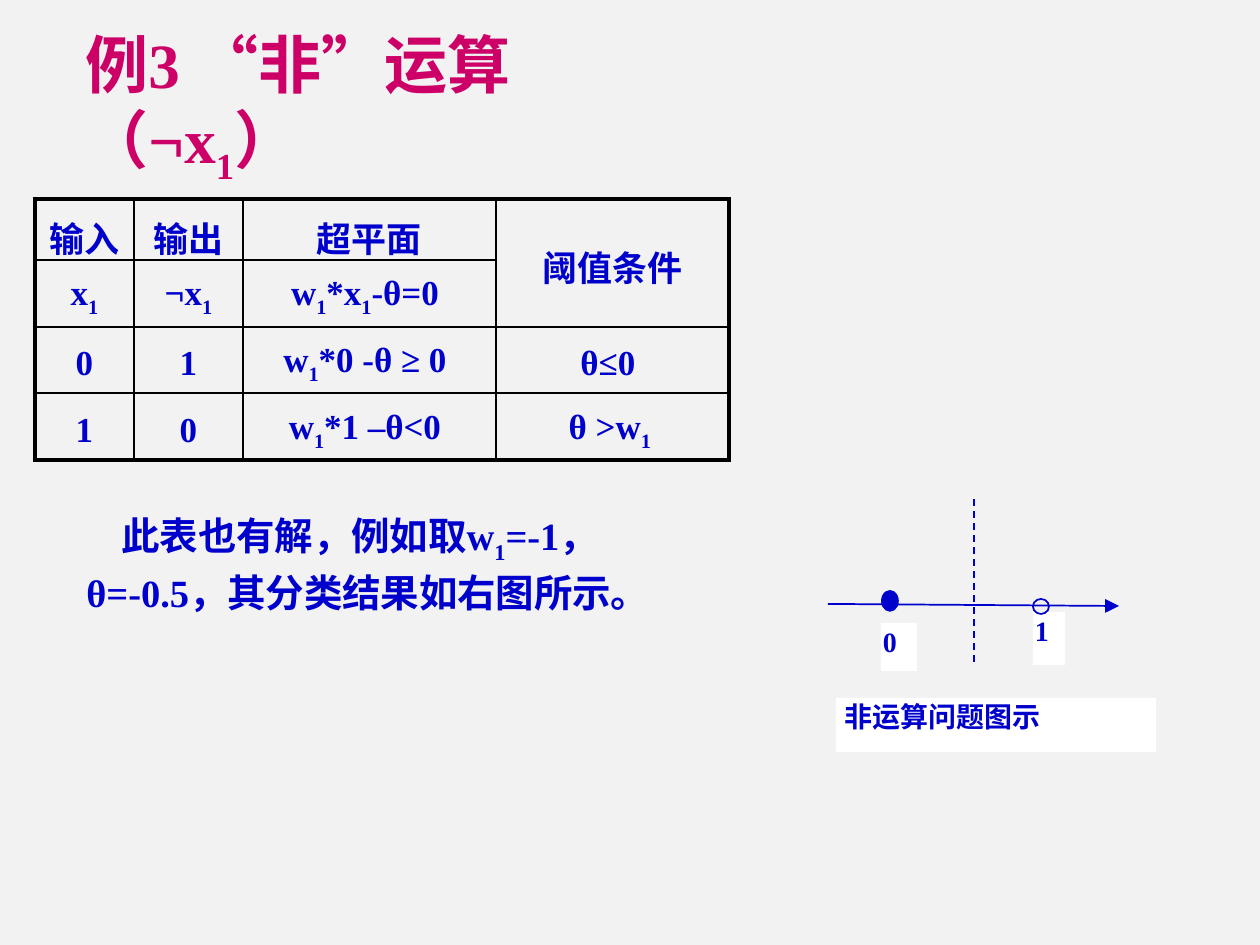
from dataclasses import dataclass

from lxml.etree import SubElement
from pptx import Presentation
from pptx.dml.color import RGBColor as Rgb
from pptx.enum.dml import MSO_LINE as Dash
from pptx.enum.lang import MSO_LANGUAGE_ID as Lang
from pptx.enum.shapes import MSO_CONNECTOR as Connector, MSO_SHAPE as Preset
from pptx.enum.text import MSO_ANCHOR as Anchor, PP_ALIGN as Align
from pptx.oxml.ns import qn
from pptx.util import Emu, Pt


@dataclass(frozen=True)
class Theme:
    """Colours, font and sizes in points."""
    paper: str = "F2F2F2"
    title: str = "CC0066"
    ink: str = "0000CC"
    grid: str = "000000"
    label_fill: str = "FFFFFF"
    font: str = "Times New Roman"
    title_size: float = 27
    body_size: float = 16.5
    table_size: float = 15
    label_size: float = 12
    thin: float = 0.75
    inner: float = 1
    outer: float = 2.25


THEME = Theme()
COLUMNS = (99, 109, 253, 233)
ROWS = (55, 61, 60, 60)
CELLS = (
    (("输入",), ("输出",), ("超平面",), ("阈值条件",)),
    (("x", "1"), ("¬x", "1"), ("w", "1", "*x", "1", "-θ=0 "), ()),
    (("0",), ("1",), ("w", "1", "*0 -θ ≥ 0 "), ("θ≤0 ",)),
    (("1",), ("0",), ("w", "1", "*1 –θ<0 "), ("θ >w", "1 ")),
)


def px(*lengths):
    """Turn pixels at 168 per inch into EMU."""
    return [Emu(round(length * 914400 / 168)) for length in lengths]


def write(paragraph, pieces, size, color):
    """Add runs in which every second piece is a subscript."""
    for index, piece in enumerate(pieces):
        run = paragraph.add_run()
        run.text = piece
        font = run.font
        font.name, font.size, font.bold = THEME.font, Pt(size), True
        font.color.rgb = Rgb.from_string(color)
        font.language_id = Lang.SIMPLIFIED_CHINESE
        if index % 2:
            run._r.get_or_add_rPr().set("baseline", "-25000")


def add_text(slide, box, pieces, size, color, spacing=1.0, indent=0):
    """Add a wrapped text box with one paragraph."""
    frame = slide.shapes.add_textbox(*px(*box)).text_frame
    frame.word_wrap = True
    paragraph = frame.paragraphs[0]
    paragraph.line_spacing = spacing
    paragraph._p.get_or_add_pPr().set("indent", str(px(indent)[0]))
    write(paragraph, pieces, size, color)


def add_border(cell, side, width):
    """Draw one side of a table cell."""
    line = SubElement(cell._tc.get_or_add_tcPr(), qn(f"a:ln{side}"), w=str(Pt(width)))
    fill = SubElement(line, qn("a:solidFill"))
    SubElement(fill, qn("a:srgbClr"), val=THEME.grid)


def add_truth_table(slide, left, top):
    """Add the table of inputs, outputs and threshold conditions."""
    last_row, last_column = len(ROWS) - 1, len(COLUMNS) - 1
    table = slide.shapes.add_table(
        len(ROWS), len(COLUMNS), *px(left, top, sum(COLUMNS), sum(ROWS))).table
    table.first_row = table.horz_banding = False
    for column, width in zip(table.columns, px(*COLUMNS)):
        column.width = width
    for row, height in zip(table.rows, px(*ROWS)):
        row.height = height
    table.cell(0, last_column).merge(table.cell(1, last_column))
    for r, row in enumerate(CELLS):
        for c, pieces in enumerate(row):
            cell = table.cell(r, c)
            cell.vertical_anchor = Anchor.MIDDLE
            cell.margin_left, cell.margin_right = px(12, 12)
            cell.margin_top, cell.margin_bottom = px(13, 6)
            edges = (("L", c == 0), ("R", c == last_column),
                     ("T", r == 0), ("B", r == last_row))
            for side, is_outer in edges:
                add_border(cell, side, THEME.outer if is_outer else THEME.inner)
            cell.fill.background()
            paragraph = cell.text_frame.paragraphs[0]
            paragraph.alignment = Align.CENTER
            write(paragraph, pieces, THEME.table_size, THEME.ink)


def add_line(slide, ends, dash=None, arrow=False):
    """Add a thin line, dashed or with an arrowhead on request."""
    connector = slide.shapes.add_connector(Connector.STRAIGHT, *px(*ends))
    connector.line.color.rgb = Rgb.from_string(THEME.ink)
    connector.line.width = Pt(THEME.thin)
    if dash:
        connector.line.dash_style = dash
    if arrow:
        SubElement(connector.line._get_or_add_ln(), qn("a:tailEnd"), type="triangle")
    SubElement(connector._element.spPr, qn("a:effectLst"))


def add_point(slide, box, filled):
    """Add a solid or hollow point of the axis."""
    point = slide.shapes.add_shape(Preset.OVAL, *px(*box))
    point.shadow.inherit = False
    point.line.color.rgb = Rgb.from_string(THEME.ink)
    point.line.width = Pt(THEME.thin)
    if filled:
        point.fill.solid()
        point.fill.fore_color.rgb = Rgb.from_string(THEME.ink)
    else:
        point.fill.background()


def add_label(slide, box, text, inset=2):
    """Add a white label with text at its top left."""
    label = slide.shapes.add_shape(Preset.RECTANGLE, *px(*box))
    label.shadow.inherit = False
    label.fill.solid()
    label.fill.fore_color.rgb = Rgb.from_string(THEME.label_fill)
    label.line.fill.background()
    frame = label.text_frame
    frame.word_wrap = True
    frame.vertical_anchor = Anchor.TOP
    frame.margin_left, frame.margin_top, frame.margin_right, frame.margin_bottom = px(
        inset, 2, 2, 2)
    paragraph = frame.paragraphs[0]
    paragraph.alignment = Align.JUSTIFY
    write(paragraph, (text,), THEME.label_size, THEME.ink)


def main():
    """Build the slide on the NOT operation."""
    deck = Presentation()
    deck.slide_width, deck.slide_height = px(1260, 945)
    slide = deck.slides.add_slide(deck.slide_layouts[6])
    slide.background.fill.solid()
    slide.background.fill.fore_color.rgb = Rgb.from_string(THEME.paper)

    add_text(slide, (69, 17, 615, 94), ("例3 “非”运算（¬x", "1", "）"),
             THEME.title_size, THEME.title)
    add_truth_table(slide, 35, 199)
    add_text(slide, (70, 499, 615, 120),
             ("此表也有解，例如取w", "1", "=-1，θ=-0.5，其分类结果如右图所示。"),
             THEME.body_size, THEME.ink, spacing=1.1, indent=35)

    add_line(slide, (828, 604, 1119, 606), arrow=True)
    add_point(slide, (882, 591, 16, 20), filled=True)
    add_label(slide, (836, 698, 320, 54), "非运算问题图示", inset=9)
    add_line(slide, (974, 499, 974, 665), dash=Dash.DASH)
    add_label(slide, (881, 623, 36, 48), "0")
    add_label(slide, (1033, 612, 32, 53), "1")
    add_point(slide, (1033, 599, 16, 15), filled=False)
    deck.save("out.pptx")


if __name__ == "__main__":
    main()
